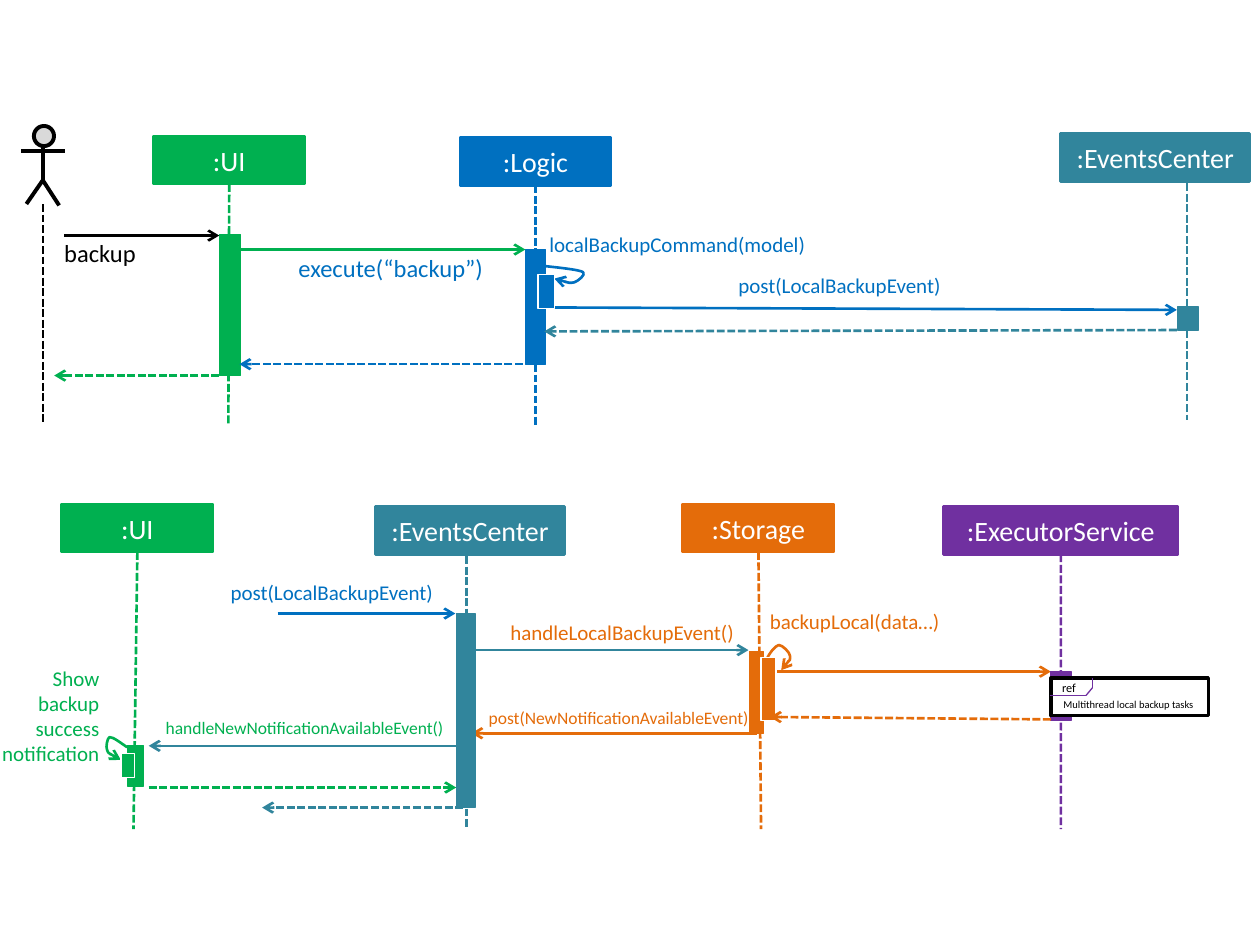
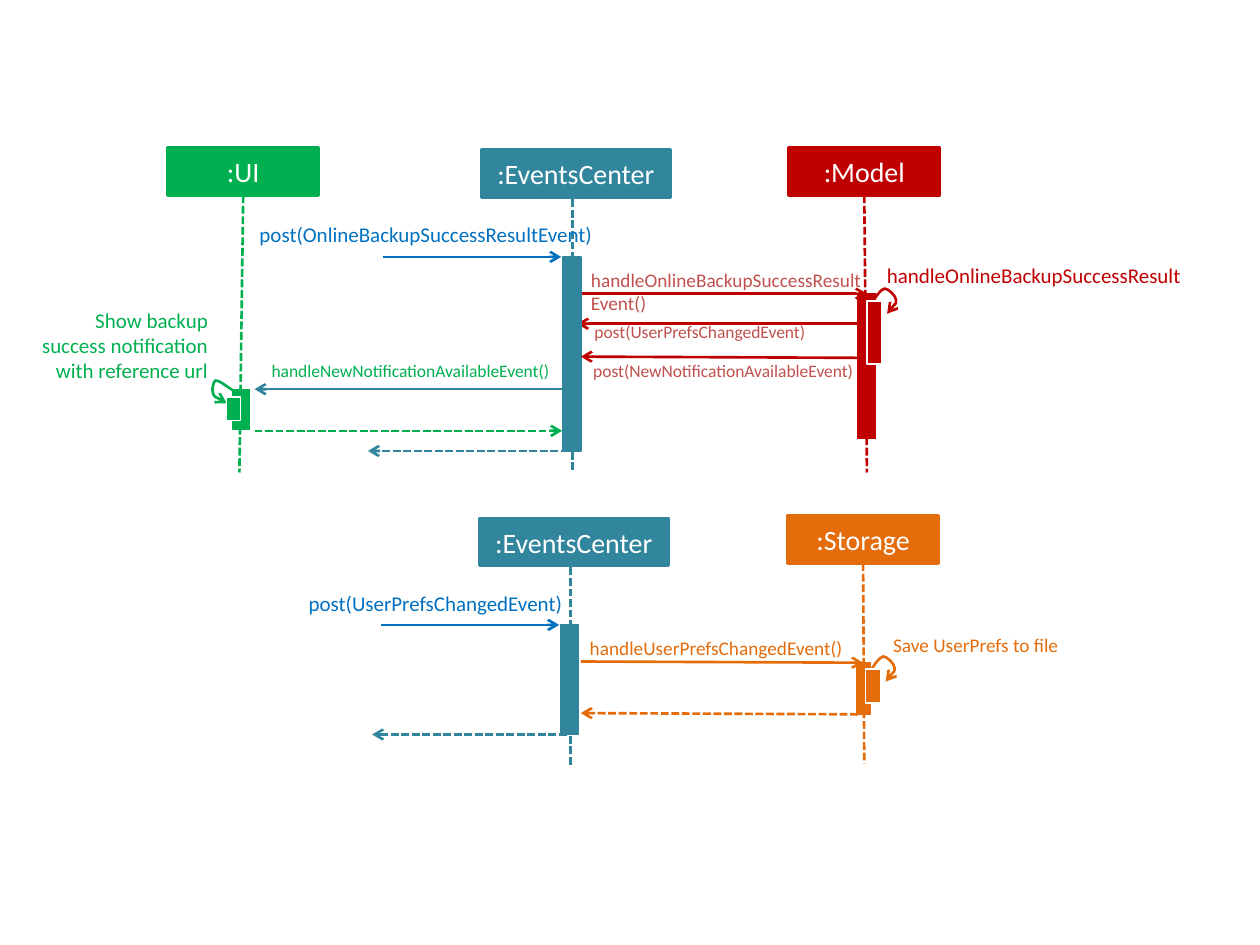
from dataclasses import dataclass

from lxml import etree
from pptx import Presentation
from pptx.dml.color import RGBColor
from pptx.enum.dml import MSO_LINE
from pptx.enum.shapes import MSO_CONNECTOR, MSO_SHAPE
from pptx.enum.text import MSO_ANCHOR, MSO_AUTO_SIZE, PP_ALIGN
from pptx.oxml.ns import qn
from pptx.util import Pt

STRAIGHT = MSO_CONNECTOR.STRAIGHT
RECTANGLE = MSO_SHAPE.RECTANGLE
CIRCLE = MSO_SHAPE.FLOWCHART_CONNECTOR
DASH = MSO_LINE.SQUARE_DOT
LEFT, CENTER, RIGHT = PP_ALIGN.LEFT, PP_ALIGN.CENTER, PP_ALIGN.RIGHT
BOTTOM_SIDE = 2


@dataclass(frozen=True)
class Theme:
    font: str = "Calibri"
    ui: str = "00B050"
    logic: str = "0070C0"
    events: str = "31859C"
    storage: str = "E46C0A"
    executor: str = "7030A0"
    model: str = "C00000"
    model_text: str = "C0504D"
    black: str = "000000"
    white: str = "FFFFFF"
    gray: str = "D9D9D9"
    header_size: float = 16
    command_size: float = 14
    label_size: float = 12
    compact_size: float = 11
    small_size: float = 10
    ref_size: float = 7
    tiny_size: float = 6
    line: float = 1.5
    thin: float = 0.75
    actor_line: float = 2.25
    frame_line: float = 2


THEME = Theme()
HEADER_HEIGHT = 27.4
HEADER_WIDTH = 86.4
EVENTS_WIDTH = 108

# Self-call curves: Bezier points measured from the inner bar's top left corner
LOOP_RIGHT = [(2.9, 1.4), (5, -2.9), (7.9, -6.5), (10.1, -7.2), (12.2, -7.2),
              (16.6, -2.9), (16.6, -0.7), (16.6, 2.2), (13.7, 4.3), (11.5, 7.2)]
LOOP_LEFT = [(3.6, -3.6), (-0.7, -6.5), (-4.3, -9.4), (-6.5, -9.4), (-7.9, -8.6),
             (-8.6, -3.6), (-7.9, -2.2), (-7.2, 0), (-3.6, 2.2), (0, 3.6)]
LOOP_FLAT = [(3.6, -5), (9.4, -4.3), (24.5, -2.9), (25.9, -1.4), (27.4, 0),
             (23, 3.6), (20.9, 4.3), (18, 5), (13.7, 3.6), (9.4, 2.2)]


# Basic elements
def style_line(line, color, weight):
    line.color.rgb = RGBColor.from_string(color)
    line.width = Pt(weight)


def add_arrowhead(shape):
    outline = shape.element.spPr.find(qn("a:ln"))
    etree.SubElement(outline, qn("a:tailEnd"), type="arrow")


def add_box(shapes, left, top, width, height, fill, line=None,
            weight=THEME.thin, kind=RECTANGLE):
    shape = shapes.add_shape(kind, Pt(left), Pt(top), Pt(width), Pt(height))
    shape.shadow.inherit = False
    shape.fill.solid()
    shape.fill.fore_color.rgb = RGBColor.from_string(fill)
    style_line(shape.line, line or fill, weight)
    return shape


def add_line(shapes, start, end, color, weight=THEME.line, dashed=False):
    connector = shapes.add_connector(STRAIGHT, *map(Pt, start + end))
    style_line(connector.line, color, weight)
    if dashed:
        connector.line.dash_style = DASH
    etree.SubElement(connector.element.spPr, qn("a:effectLst"))
    return connector


def add_message(shapes, start, end, color, dashed=False):
    add_arrowhead(add_line(shapes, start, end, color, dashed=dashed))


def add_outline(shapes, points, color, weight=THEME.line):
    first, *rest = [(Pt(x), Pt(y)) for x, y in points]
    builder = shapes.build_freeform(*first)
    builder.add_line_segments(rest, close=False)
    shape = builder.convert_to_shape()
    shape.shadow.inherit = False
    shape.fill.background()
    style_line(shape.line, color, weight)
    return shape


def bend_outline(shape):
    """Turn every three straight segments into one Bezier curve."""
    drawing = next(shape.element.iter(qn("a:path")))
    segments = drawing.findall(qn("a:lnTo"))
    for index in range(0, len(segments), 3):
        curve = etree.SubElement(drawing, qn("a:cubicBezTo"))
        for segment in segments[index:index + 3]:
            curve.append(segment[0])
            drawing.remove(segment)


def style_text(frame, text, size, color, align):
    paragraph = frame.paragraphs[0]
    paragraph.text = text
    paragraph.alignment = align
    paragraph.font.name = THEME.font
    paragraph.font.size = Pt(size)
    paragraph.font.color.rgb = RGBColor.from_string(color)


def add_label(shapes, text, left, top, width, color, size=THEME.label_size,
              align=LEFT, lines=1, padded=False):
    height = size * 1.2 * lines + (7.2 if padded else 0)
    frame = shapes.add_textbox(Pt(left), Pt(top), Pt(width), Pt(height)).text_frame
    frame.word_wrap = not padded
    frame.auto_size = MSO_AUTO_SIZE.SHAPE_TO_FIT_TEXT
    if not padded:
        frame.margin_left = frame.margin_right = 0
        frame.margin_top = frame.margin_bottom = 0
    style_text(frame, text, size, color, align)


# Sequence diagram elements
def add_participant(shapes, name, left, top, width, color, line_top, line_bottom):
    """Header box and lifeline; the lifeline is joined where it meets the middle."""
    header = add_box(shapes, left, top, width, HEADER_HEIGHT, color, weight=THEME.line)
    header.text_frame.word_wrap = True
    header.text_frame.vertical_anchor = MSO_ANCHOR.MIDDLE
    style_text(header.text_frame, name, THEME.header_size, THEME.white, CENTER)
    start = (line_top, top + HEADER_HEIGHT + 1)
    lifeline = add_line(shapes, start, line_bottom, color, dashed=True)
    if abs(left + width / 2 - line_top) <= 1:
        lifeline.begin_connect(header, BOTTOM_SIDE)


def add_self_call(shapes, left, top, width, height, color, loop):
    parts = shapes.add_group_shape().shapes
    curve = add_outline(parts, [(left + x, top + y) for x, y in loop], color)
    bend_outline(curve)
    add_arrowhead(curve)
    add_box(parts, left, top, width, height, color, THEME.white)


def add_actor(shapes):
    parts = shapes.add_group_shape().shapes
    black, weight = THEME.black, THEME.actor_line
    add_box(parts, 19.4, 72, 11.5, 11.5, THEME.gray, black, weight, CIRCLE)
    add_line(parts, (24.5, 83.5), (24.5, 103), black, weight)
    add_outline(parts, [(15.1, 116.6), (24.5, 103), (33.8, 117.4)], black, weight)
    add_line(parts, (12.2, 86.4), (37.4, 86.4), black, weight)
    add_line(shapes, (24.5, 116.6), (24.5, 242.6), black, dashed=True)


def add_events_center(shapes, left, top, bar_height, line_length, return_reach):
    """EventsCenter with its incoming post and its final return."""
    color = THEME.events
    bar_top = top + 61.2
    bar_bottom = bar_top + bar_height
    line_x = left + 52
    add_participant(shapes, ":EventsCenter", left, top, EVENTS_WIDTH, color,
                    line_x, (line_x, top + line_length))
    add_box(shapes, left + 46.3, bar_top, 10.6, bar_height, color)
    add_message(shapes, (left - 56, bar_top), (left + 45.6, bar_top), THEME.logic)
    add_message(shapes, (left + 50, bar_bottom), (left - return_reach, bar_bottom),
                color, dashed=True)


def add_notification_flow(shapes, left, top):
    """EventsCenter telling the UI to show a notification."""
    color = THEME.ui
    bar_left, ui_right = left + 225.4, left + 49.7
    notify_y, return_y = top + 138.2, top + 162
    add_events_center(shapes, left + 179.3, top + 1.4, 110.9, 184.3, 64.8)
    add_participant(shapes, ":UI", left, top, HEADER_WIDTH, color,
                    left + 43.2, (left + 41, top + 185.8))
    add_box(shapes, left + 37.4, notify_y, 9.4, 23, color)
    add_message(shapes, (bar_left, notify_y), (ui_right, notify_y), THEME.events)
    add_self_call(shapes, left + 33.8, top + 142.6, 7.9, 13.7, color, LOOP_LEFT)
    add_message(shapes, (ui_right, return_y), (bar_left, return_y), color, dashed=True)
    add_label(shapes, "handleNewNotificationAvailableEvent()", left + 59.4,
              top + 121.7, 209.5, color, THEME.small_size)


def add_reference_frame(shapes):
    add_box(shapes, 600.5, 387.4, 90, 21.6, THEME.white, THEME.black, THEME.frame_line)
    corner = [(599.8, 397.4), (620.6, 397.4), (624.2, 393.1), (624.2, 387.4)]
    for start, end in zip(corner, corner[1:]):
        add_line(shapes, start, end, THEME.executor, THEME.thin)
    add_label(shapes, "ref", 599.8, 385.2, 23.8, THEME.black, THEME.ref_size, padded=True)
    add_label(shapes, "Multithread local backup tasks", 599.8, 395.3, 90, THEME.black,
              THEME.tiny_size, CENTER, padded=True)


# Diagrams
def draw_backup_command(shapes):
    ui, logic, events = THEME.ui, THEME.logic, THEME.events
    add_actor(shapes)
    add_participant(shapes, ":UI", 87.8, 77.8, HEADER_WIDTH, ui, 130.5, (130.5, 241.9))
    add_box(shapes, 125.3, 133.9, 12.2, 80.6, ui)
    add_participant(shapes, ":Logic", 262.8, 78.5, HEADER_WIDTH, logic, 306, (306, 242.6))
    add_box(shapes, 300.2, 142.6, 11.5, 65.5, logic)
    add_participant(shapes, ":EventsCenter", 606.2, 76.3, EVENTS_WIDTH, events,
                    678.2, (678.2, 239.8))
    add_box(shapes, 673.2, 175, 11.5, 13.7, events)

    add_message(shapes, (36.7, 134.6), (125.3, 134.6), THEME.black)
    add_message(shapes, (136.8, 142.6), (300.2, 142.6), ui)
    add_message(shapes, (313.9, 175.7), (672.5, 177.1), logic)
    add_message(shapes, (672.5, 188.6), (311, 189.4), events, dashed=True)
    add_message(shapes, (298.8, 208.1), (136.8, 208.1), logic, dashed=True)
    add_message(shapes, (125.3, 214.6), (31, 214.6), ui, dashed=True)
    add_self_call(shapes, 307.4, 157, 9.4, 19.4, logic, LOOP_FLAT)

    add_label(shapes, "backup", 36.7, 136.1, 67.7, THEME.black, THEME.command_size)
    add_label(shapes, "execute(“backup”)", 170.6, 144.7, 112.3, logic, THEME.command_size)
    add_label(shapes, "localBackupCommand(model)", 313.9, 132.5, 175.7, logic)
    add_label(shapes, "post(LocalBackupEvent)", 421.9, 155.5, 128.9, logic)


def draw_local_backup(shapes):
    storage, executor = THEME.storage, THEME.executor
    add_message(shapes, (437.8, 383.8), (600.5, 383.8), storage)
    add_participant(shapes, ":Storage", 390.2, 288, HEADER_WIDTH, storage,
                    432.7, (434.9, 473.8))
    add_box(shapes, 428.4, 372.2, 7.9, 46.8, storage)
    add_message(shapes, (432.7, 419), (269.3, 419), storage)
    add_notification_flow(shapes, 35.3, 288)
    add_message(shapes, (272.2, 371.5), (427.7, 371.5), THEME.events)
    add_self_call(shapes, 434.9, 375.8, 8.6, 36, storage, LOOP_RIGHT)
    add_participant(shapes, ":ExecutorService", 539.3, 289.4, 133.9, executor,
                    606.2, (606.2, 473.8))
    add_box(shapes, 600.5, 383.8, 11.5, 28.1, executor)
    add_reference_frame(shapes)
    add_message(shapes, (600.5, 411.1), (439.9, 409.7), storage, dashed=True)

    add_label(shapes, "post(LocalBackupEvent)", 131.8, 331.2, 213.8, THEME.logic)
    add_label(shapes, "handleLocalBackupEvent()", 291.6, 354.2, 128.9, storage)
    add_label(shapes, "backupLocal(data…)", 439.9, 347.8, 103.7, storage)
    add_label(shapes, "post(NewNotificationAvailableEvent)", 272.2, 400.3, 165.6,
              storage, THEME.small_size, padded=True)
    add_label(shapes, "Show backup success notification", -5.8, 380.2, 62.6,
              THEME.ui, align=RIGHT, lines=4)


def draw_online_backup_result(shapes):
    model, muted = THEME.model, THEME.model_text
    add_participant(shapes, ":Model", 450.7, 84.2, HEADER_WIDTH, model,
                    493.2, (495.4, 270))
    add_box(shapes, 490.3, 167.8, 10.1, 82.8, model)
    add_message(shapes, (491, 185), (329.8, 185), model)
    add_notification_flow(shapes, 95.8, 84.2)
    add_message(shapes, (332.6, 167.8), (495.4, 167.8), model)
    add_self_call(shapes, 495.4, 172.1, 8.6, 36, model, LOOP_RIGHT)
    add_message(shapes, (493.9, 204.5), (331.9, 203.8), model)

    add_label(shapes, "post(OnlineBackupSuccessResultEvent)", 148.3, 126.7, 213.8,
              THEME.logic)
    add_label(shapes, "handleOnlineBackupSuccessResultEvent()", 337.7, 153.4, 156.2,
              muted, THEME.compact_size, lines=2)
    add_label(shapes, "post(UserPrefsChangedEvent)", 332.6, 180, 137.5, muted,
              THEME.small_size, padded=True)
    add_label(shapes, "post(NewNotificationAvailableEvent)", 331.9, 202.3, 165.6, muted,
              THEME.small_size, padded=True)
    add_label(shapes, "handleOnlineBackupSuccessResult", 499.7, 146.2, 184.3, model,
              padded=True)
    add_label(shapes, "Show backup success notification with reference url", 23.8, 175.7,
              95, THEME.ui, align=RIGHT, lines=4)


def draw_preferences_change(shapes):
    storage = THEME.storage
    add_participant(shapes, ":Storage", 450, 294.5, HEADER_WIDTH, storage,
                    492.5, (493.9, 436.3))
    add_box(shapes, 489.6, 378.7, 7.9, 29.5, storage)
    add_events_center(shapes, 273.9, 295.9, 62.6, 141.8, 61.2)
    add_message(shapes, (331.9, 378), (493.2, 378.7), storage)
    add_self_call(shapes, 494.6, 382.3, 8.6, 19.4, storage, LOOP_RIGHT)
    add_message(shapes, (490.3, 408.2), (331.9, 407.5), storage, dashed=True)

    add_label(shapes, "post(UserPrefsChangedEvent)", 176.4, 337.7, 213.8, THEME.logic)
    add_label(shapes, "handleUserPrefsChangedEvent()", 337, 363.6, 156.2, storage,
              THEME.compact_size)
    add_label(shapes, "Save UserPrefs to file", 503.3, 358.6, 110.2, storage,
              THEME.compact_size, padded=True)


def main():
    presentation = Presentation()
    presentation.slide_width, presentation.slide_height = Pt(720), Pt(540)
    blank = presentation.slide_layouts[6]
    for diagrams in ((draw_backup_command, draw_local_backup),
                     (draw_online_backup_result, draw_preferences_change)):
        slide = presentation.slides.add_slide(blank)
        for draw in diagrams:
            draw(slide.shapes)
    presentation.save("out.pptx")


if __name__ == "__main__":
    main()
